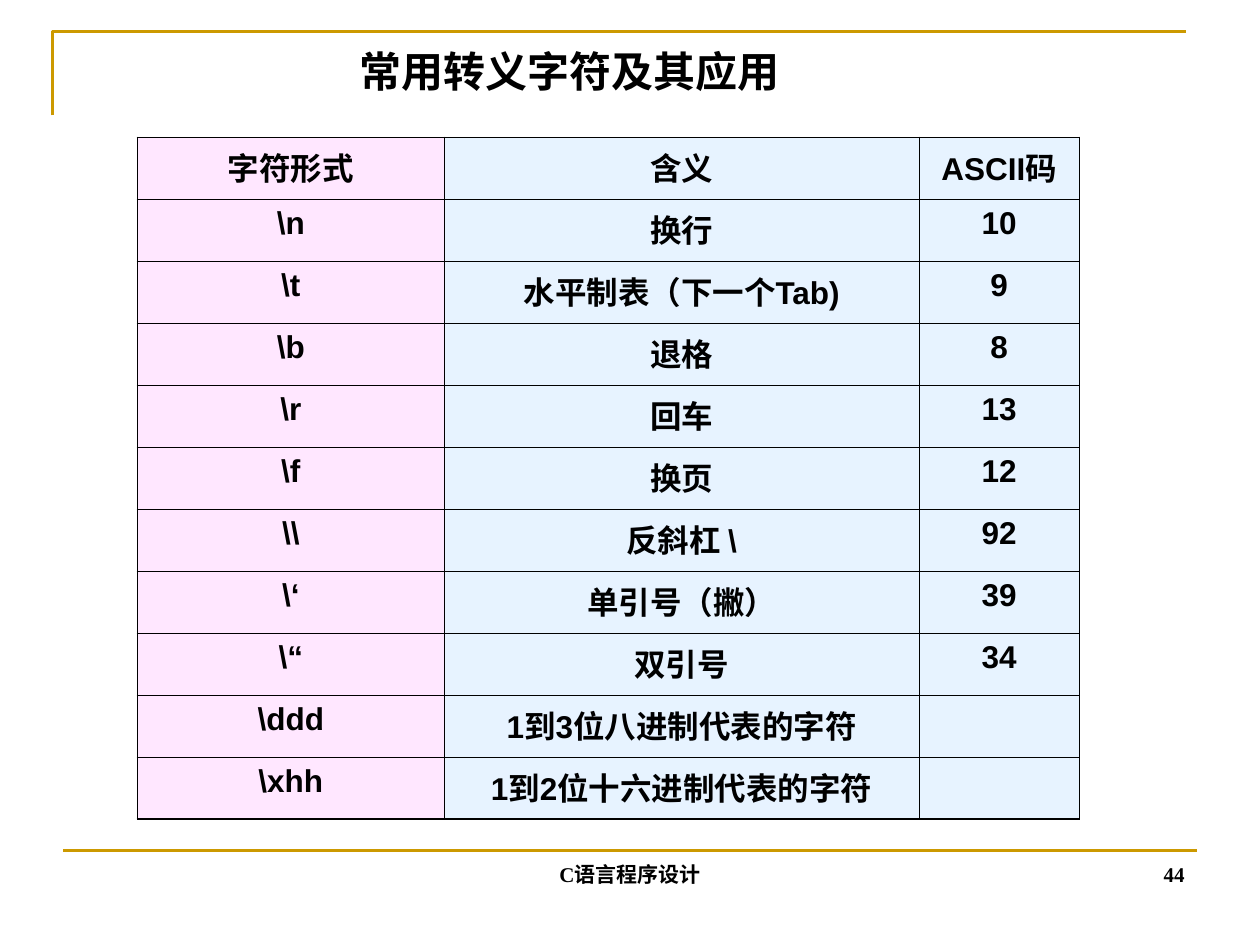
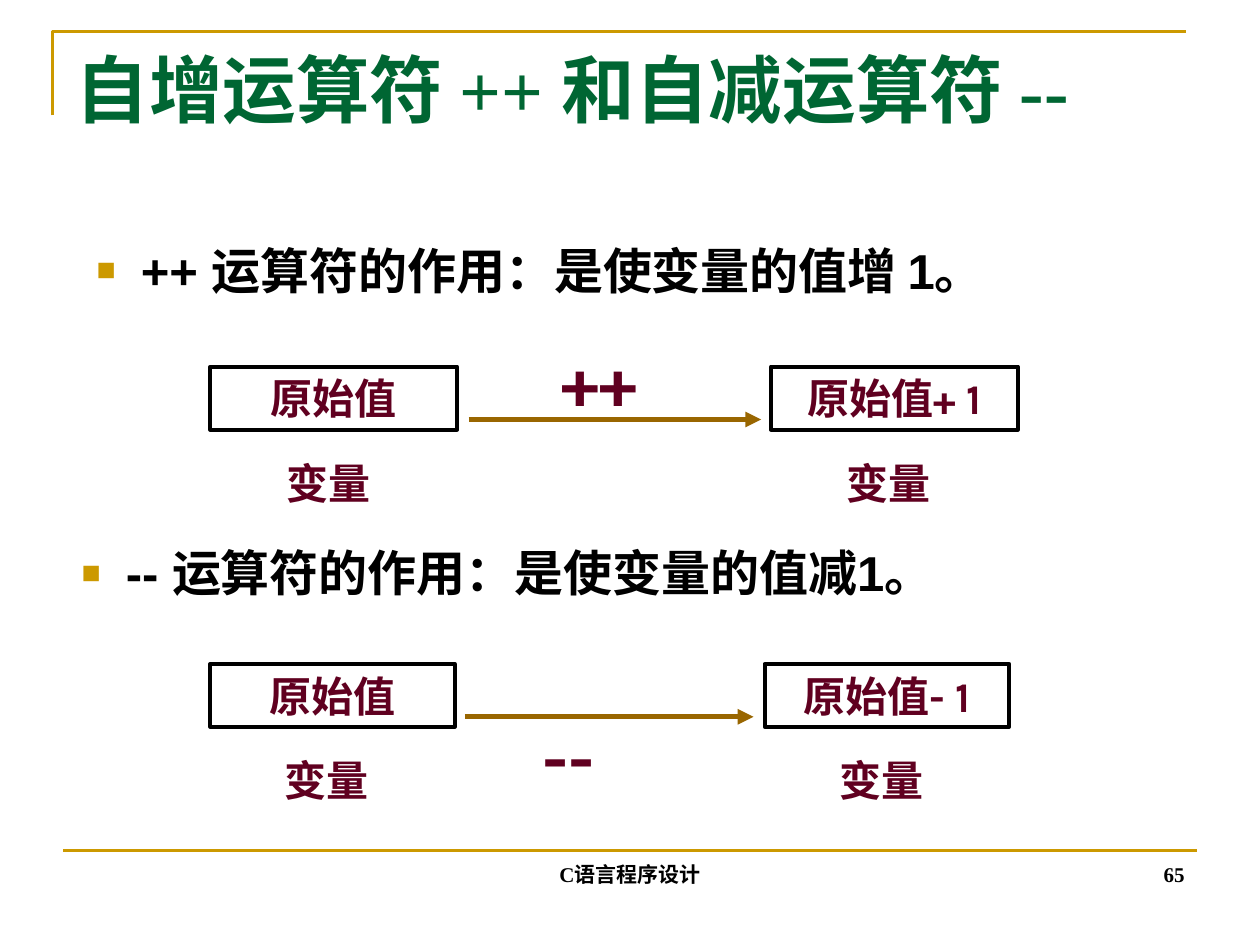
from lxml.etree import SubElement
from pptx import Presentation
from pptx.dml.color import RGBColor
from pptx.enum.shapes import MSO_CONNECTOR, MSO_SHAPE
from pptx.enum.text import MSO_ANCHOR, MSO_AUTO_SIZE, PP_ALIGN
from pptx.oxml.ns import qn
from pptx.util import Pt

GOLD = RGBColor(0xCC, 0x99, 0x00)
BROWN = RGBColor(0x99, 0x66, 0x00)
GREEN = RGBColor(0x00, 0x66, 0x33)
MAROON = RGBColor(0x60, 0x00, 0x20)
BLACK = RGBColor(0, 0, 0)
PINK = RGBColor(0xFF, 0xE7, 0xFF)
PALE_BLUE = RGBColor(0xE7, 0xF3, 0xFF)
SERIF, SANS, KARLA, CJK = "Times New Roman", "Arial", "Karla", "Noto Sans CJK SC"
LEFT, CENTER, RIGHT = PP_ALIGN.LEFT, PP_ALIGN.CENTER, PP_ALIGN.RIGHT


def write(sp, text, font, size, color=BLACK, align=CENTER, anchor=MSO_ANCHOR.TOP, wrap=True):
    """Put one bold run into a shape and return its paragraph."""
    tf = sp.text_frame
    tf.word_wrap = wrap
    tf.auto_size = MSO_AUTO_SIZE.NONE
    tf.vertical_anchor = anchor
    p = tf.paragraphs[0]
    p.alignment = align
    r = p.add_run()
    r.text = text
    r.font.name, r.font.size, r.font.bold = font, Pt(size), True
    r.font.color.rgb = color
    SubElement(r._r.get_or_add_rPr(), qn("a:ea"), typeface=CJK)
    return p


def add_line(s, x1, x2, y, color, width):
    line = s.shapes.add_connector(MSO_CONNECTOR.STRAIGHT, Pt(x1), Pt(y), Pt(x2), Pt(y))
    line.line.color.rgb = color
    line.line.width = Pt(width)
    SubElement(line._element.spPr, qn("a:effectLst"))
    return line


prs = Presentation()
prs.slide_width, prs.slide_height = Pt(720), Pt(540)

# Frame, footer and title of both slides
titles = [
    ("44", "常用转义字符及其应用", (141, 22.3, 369.4, 36), 24, BLACK, CENTER),
    ("65", "自增运算符 ++ 和自减运算符 --", (36, 21.6, 648, 90), 42, GREEN, LEFT),
]
for number, title, place, size, color, align in titles:
    s = prs.slides.add_slide(prs.slide_layouts[5])
    fb = s.shapes.build_freeform(Pt(30), Pt(66))
    fb.add_line_segments([(Pt(30), Pt(18)), (Pt(678), Pt(18))], close=False)
    corner = fb.convert_to_shape()
    corner.shadow.inherit = False
    corner.fill.background()
    corner.line.color.rgb = GOLD
    corner.line.width = Pt(1.5)
    add_line(s, 36, 684, 486, GOLD, 1.5)

    for text, x, width, side in [("C语言程序设计", 246, 228, CENTER), (number, 516, 168, RIGHT)]:
        footer = s.shapes.add_textbox(Pt(x), Pt(474), Pt(width), Pt(36))
        write(footer, text, SERIF, 12, align=side, anchor=MSO_ANCHOR.BOTTOM)

    sp = s.shapes.title
    sp.left, sp.top, sp.width, sp.height = map(Pt, place)
    write(sp, title, SERIF, size, color, align)

escape_slide, operator_slide = prs.slides

# Table of escape characters
rows = [
    ("字符形式", "含义", "ASCII码"),
    (r"\n", "换行", "10"),
    (r"\t", "水平制表（下一个Tab)", "9"),
    (r"\b", "退格", "8"),
    (r"\r", "回车", "13"),
    (r"\f", "换页", "12"),
    (r"\\", "反斜杠 \\", "92"),
    (r"\‘", "单引号（撇）", "39"),
    (r"\“", "双引号", "34"),
    (r"\ddd", "1到3位八进制代表的字符", ""),
    (r"\xhh", "1到2位十六进制代表的字符", ""),
]
col_widths = [175.2, 271.4, 91.6]
row_height = 35.43
last_row, last_col = len(rows) - 1, len(col_widths) - 1
table = escape_slide.shapes.add_table(
    len(rows), len(col_widths), Pt(78.6), Pt(78.6),
    Pt(sum(col_widths)), Pt(row_height * len(rows))).table
for col, width in zip(table.columns, col_widths):
    col.width = Pt(width)
for i, row in enumerate(rows):
    table.rows[i].height = Pt(row_height)
    for j, text in enumerate(row):
        cell = table.cell(i, j)
        if text:
            p = cell.text_frame.paragraphs[0]
            p.alignment = CENTER
            r = p.add_run()
            r.text = text
            r.font.name, r.font.size, r.font.bold = SANS, Pt(18), True
            r.font.color.rgb = BLACK
            SubElement(r._r.get_or_add_rPr(), qn("a:ea"), typeface=CJK)
        tcPr = cell._tc.get_or_add_tcPr()
        outer_edges = {"lnL": j == 0, "lnR": j == last_col, "lnT": i == 0, "lnB": i == last_row}
        for edge, outer in outer_edges.items():
            ln = SubElement(tcPr, qn(f"a:{edge}"), w=str(Pt(1.08 if outer else 0.45)))
            SubElement(SubElement(ln, qn("a:solidFill")), qn("a:srgbClr"), val=str(BLACK))
        cell.fill.solid()
        cell.fill.fore_color.rgb = PINK if j == 0 else PALE_BLUE

# Bulleted statements
s = operator_slide
statements = [
    (" ++ 运算符的作用：是使变量的值增 1。", 48.2, 133.9, 628.6),
    (" -- 运算符的作用：是使变量的值减1。", 39.6, 306.7, 511.2),
]
for text, x, y, width in statements:
    sp = s.shapes.add_textbox(Pt(x), Pt(y), Pt(width), Pt(41))
    p = write(sp, text, SANS, 28, align=LEFT)
    pPr = p._p.get_or_add_pPr()
    pPr.set("marL", str(Pt(17.5)))
    pPr.set("indent", str(-Pt(17.5)))
    SubElement(SubElement(pPr, qn("a:buClr")), qn("a:srgbClr"), val=str(GOLD))
    SubElement(pPr, qn("a:buSzPct"), val="65000")
    SubElement(pPr, qn("a:buFont"), typeface=SANS)
    SubElement(pPr, qn("a:buChar"), char="■")

# Diagrams: value box, arrow with operator, result box
left = 120.2
diagrams = [
    ("++", "原始值+ 1", 209.5, 440.6, 141.1, (267.8, 434.9), (314, 188.6)),
    ("--", "原始值- 1", 379.4, 437, 139.7, (265.7, 430.6), (303, 405)),
]
for operator, result, top, right, width, (x1, x2), (op_x, op_y) in diagrams:
    for x, value in [(left, "原始值"), (right, result)]:
        box = s.shapes.add_shape(MSO_SHAPE.RECTANGLE, Pt(x), Pt(top), Pt(width), Pt(36))
        box.shadow.inherit = False
        box.fill.background()
        box.line.color.rgb = BLACK
        box.line.width = Pt(2.25)
        write(box, value, KARLA, 24, MAROON)
        caption = s.shapes.add_textbox(Pt(x), Pt(top + 48.2), Pt(width - 6.5), Pt(36))
        write(caption, "变量", KARLA, 24, MAROON)
    arrow = add_line(s, x1, x2, top + 30.2, BROWN, 3)
    SubElement(arrow.line._get_or_add_ln(), qn("a:tailEnd"), type="triangle")
    sp = s.shapes.add_textbox(Pt(op_x), Pt(op_y), Pt(68), Pt(55))
    write(sp, operator, KARLA, 40, MAROON, LEFT, wrap=False)

prs.save("out.pptx")
